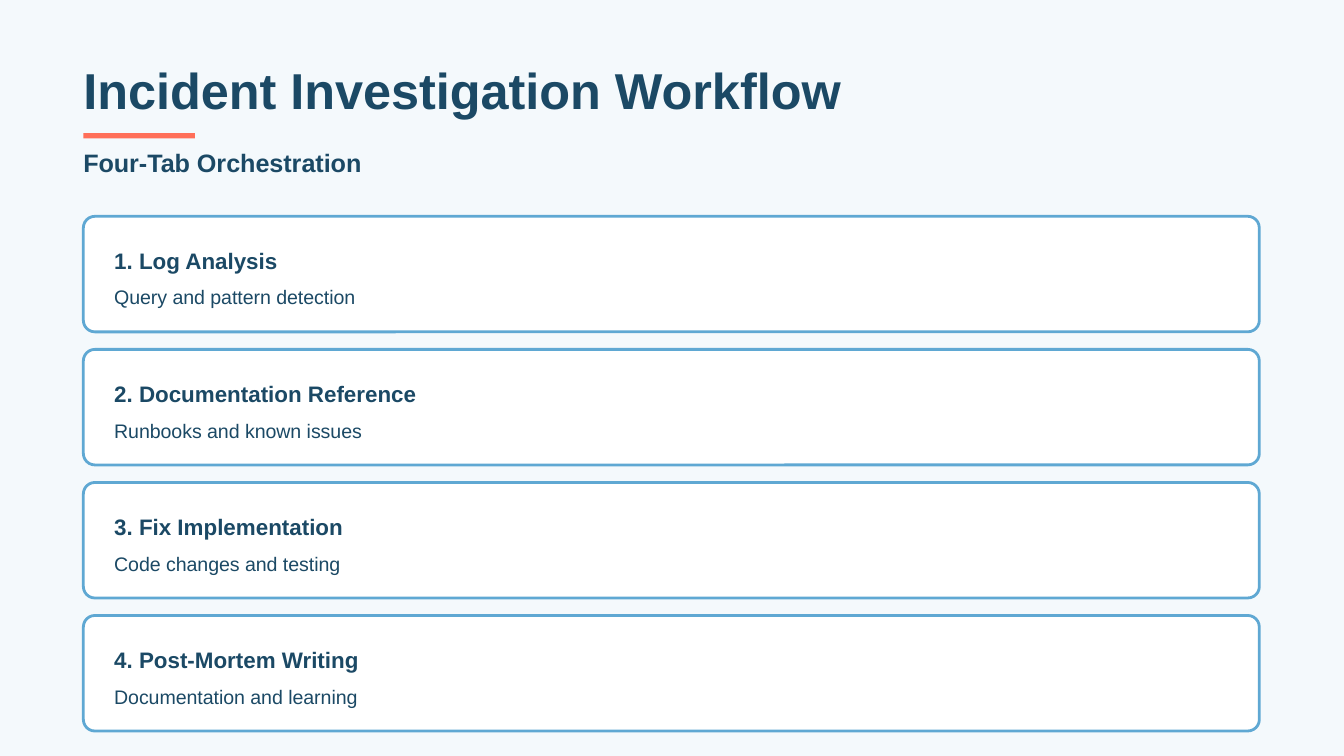
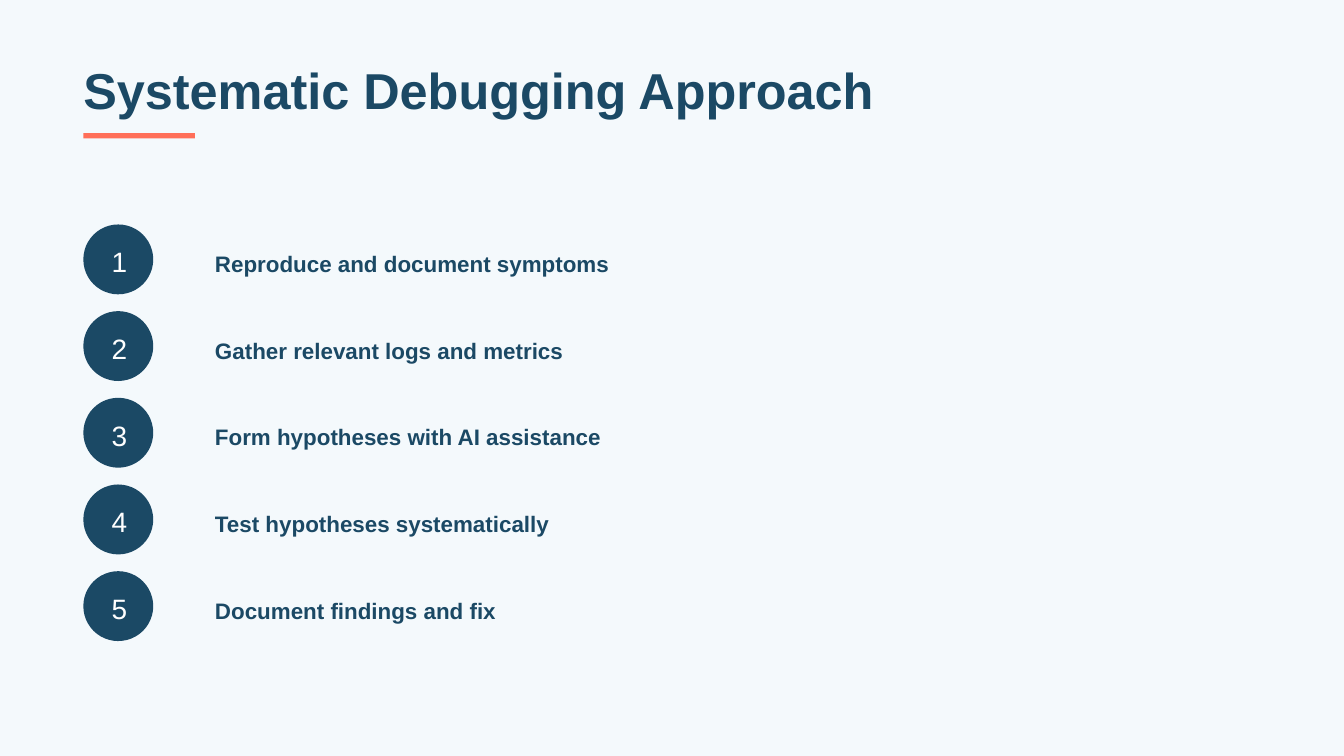
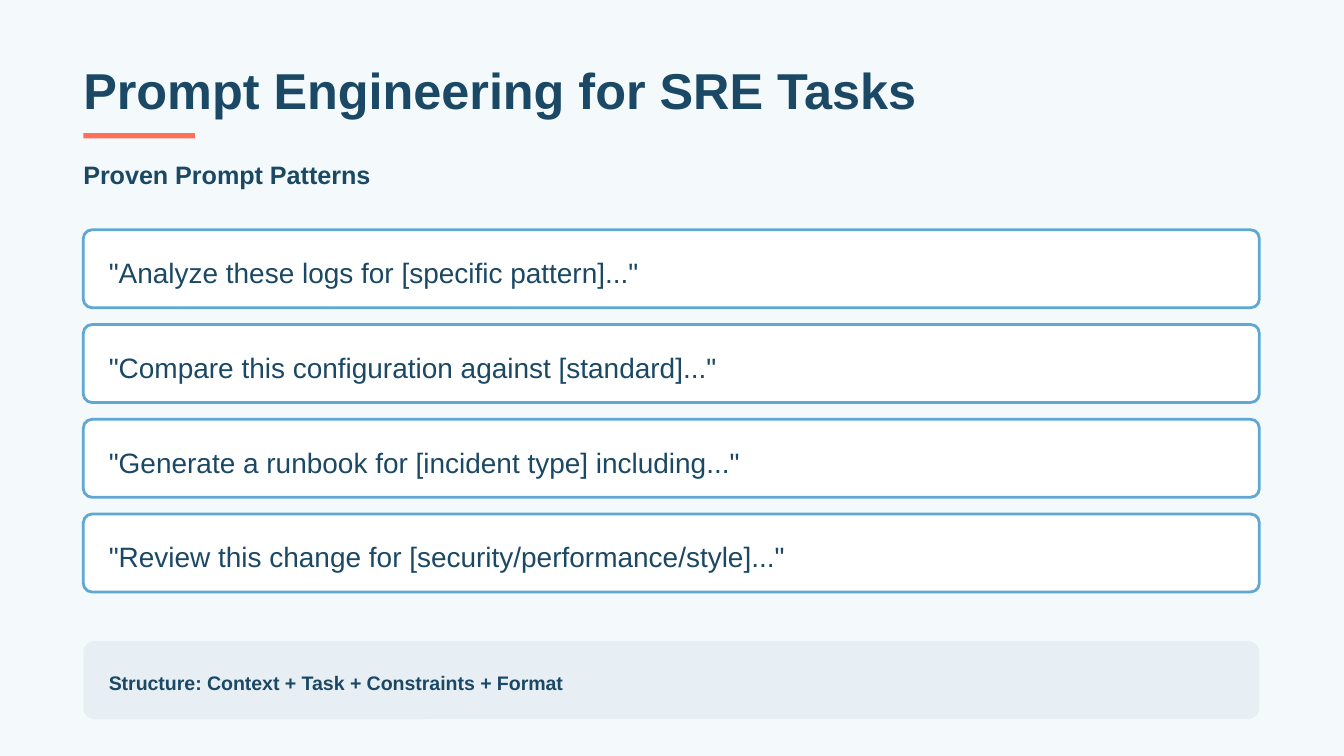
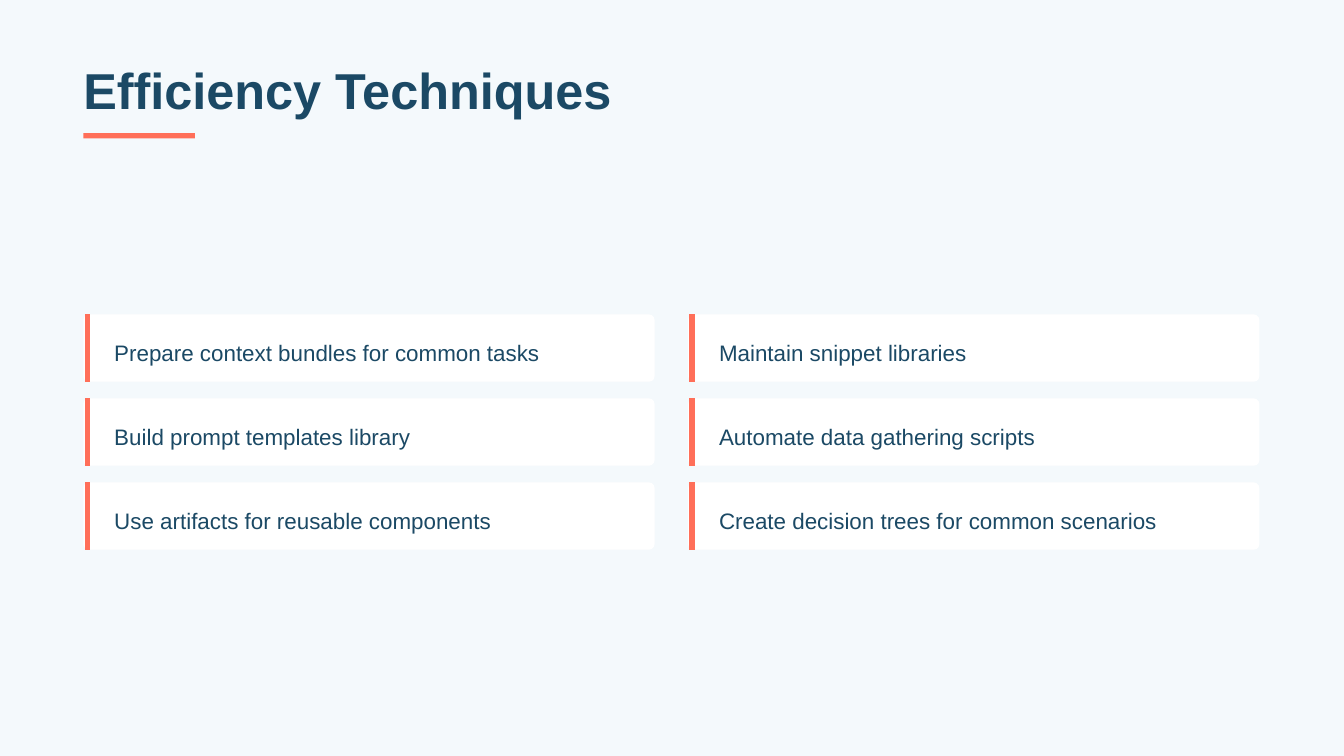
from dataclasses import dataclass
from typing import NamedTuple, Optional

from lxml import etree
from pptx import Presentation
from pptx.dml.color import RGBColor
from pptx.enum.shapes import MSO_CONNECTOR, MSO_SHAPE
from pptx.oxml.ns import qn
from pptx.util import Inches, Pt

RECT = MSO_SHAPE.RECTANGLE
ROUND = MSO_SHAPE.ROUNDED_RECTANGLE
LINE = MSO_CONNECTOR.STRAIGHT


class Type(NamedTuple):
    """Type size and line height, in points."""
    size: float
    lead: float


class Box(NamedTuple):
    """Left, top, width and height, in inches."""
    left: float
    top: float
    width: float
    height: float


@dataclass(frozen=True)
class Theme:
    font: str = "Arial"
    back: str = "F4F9FC"
    navy: str = "1B4965"
    coral: str = "FF6F59"
    sky: str = "5FA8D3"
    white: str = "FFFFFF"
    mist: str = "E8EFF4"
    title: Type = Type(27, 30)
    head: Type = Type(13.5, 21)
    large: Type = Type(15, 21)
    body: Type = Type(12, 18)
    small: Type = Type(10.5, 15)


@dataclass(frozen=True)
class Panel:
    """Look of a rounded panel."""
    fill: str
    radius: float
    edge: Optional[str] = None


THEME = Theme()
LEFT = 0.62
FULL = 8.75
GAP = 1 / 8

STEP = Panel(THEME.white, 0.1, THEME.sky)
PROMPT = Panel(THEME.white, 0.11, THEME.sky)
NOTE = Panel(THEME.mist, 0.14)
TIP = Panel(THEME.white, 0.08)
DISC = Panel(THEME.navy, 0.5)

STEPS = [
    ("1. Log Analysis", "Query and pattern detection"),
    ("2. Documentation Reference", "Runbooks and known issues"),
    ("3. Fix Implementation", "Code changes and testing"),
    ("4. Post-Mortem Writing", "Documentation and learning"),
]
STAGES = [
    "Reproduce and document symptoms",
    "Gather relevant logs and metrics",
    "Form hypotheses with AI assistance",
    "Test hypotheses systematically",
    "Document findings and fix",
]
PROMPTS = [
    '"Analyze these logs for [specific pattern]..."',
    '"Compare this configuration against [standard]..."',
    '"Generate a runbook for [incident type] including..."',
    '"Review this change for [security/performance/style]..."',
]
TIPS = [
    ["Prepare context bundles for common tasks",
     "Build prompt templates library",
     "Use artifacts for reusable components"],
    ["Maintain snippet libraries",
     "Automate data gathering scripts",
     "Create decision trees for common scenarios"],
]


# Drawing helpers
def rgb(code: str) -> RGBColor:
    return RGBColor.from_string(code)


def place(box: Box) -> list:
    return [Inches(side) for side in box]


def stack(first: Box, count: int, gap: float = GAP) -> list[Box]:
    """Boxes of one size, one under the other."""
    pitch = first.height + gap
    return [first._replace(top=first.top + row * pitch) for row in range(count)]


def write(slide, text: str, box: Box, *, style: Type, color: str = THEME.navy,
          bold: bool = False, before: float = 0, after: float = 0) -> None:
    frame = slide.shapes.add_textbox(*place(box)).text_frame
    frame.word_wrap = True
    frame.margin_left = frame.margin_right = 0
    frame.margin_top = frame.margin_bottom = 0
    para = frame.paragraphs[0]
    para.line_spacing = Pt(style.lead)
    if before:
        para.space_before = Pt(before)
    if after:
        para.space_after = Pt(after)
    run = para.add_run()
    run.text = text
    run.font.name = THEME.font
    run.font.size = Pt(style.size)
    run.font.bold = bold
    run.font.color.rgb = rgb(color)


def block(slide, kind: MSO_SHAPE, box: Box, fill: str):
    shape = slide.shapes.add_shape(kind, *place(box))
    shape.shadow.inherit = False
    shape.fill.solid()
    shape.fill.fore_color.rgb = rgb(fill)
    shape.line.fill.background()
    return shape


def panel(slide, box: Box, look: Panel) -> None:
    shape = block(slide, ROUND, box, look.fill)
    shape.adjustments[0] = look.radius
    if look.edge:
        shape.line.color.rgb = rgb(look.edge)
        shape.line.width = Pt(1.5)


def accent(slide, box: Box) -> None:
    """Coral stripe inside the left side of a box."""
    x = Inches(box.left + 0.03)
    line = slide.shapes.add_connector(
        LINE, x, Inches(box.top), x, Inches(box.top + box.height))
    line.line.color.rgb = rgb(THEME.coral)
    line.line.width = Pt(3)
    etree.SubElement(line._element.spPr, qn("a:effectLst"))


# Parts shared by the slides
def start(deck, title: str, width: float):
    slide = deck.slides.add_slide(deck.slide_layouts[6])
    slide.background.fill.solid()
    slide.background.fill.fore_color.rgb = rgb(THEME.back)
    write(slide, title, Box(LEFT, 0.47, width, 0.42),
          style=THEME.title, bold=True)
    block(slide, RECT, Box(LEFT, 0.99, 0.83, 0.04), THEME.coral)
    return slide


def lead(slide, text: str, top: float) -> None:
    write(slide, text, Box(LEFT, top, 8.93, 0.29),
          style=THEME.head, bold=True, before=3, after=3)


# Slides
def workflow(deck) -> None:
    slide = start(deck, "Incident Investigation Workflow", 5.76)
    lead(slide, "Four-Tab Orchestration", 1.03)
    cards = stack(Box(LEFT, 1.61, FULL, 0.86), len(STEPS), 0.13)
    for card, (name, detail) in zip(cards, STEPS):
        panel(slide, card, STEP)
        write(slide, name, Box(0.85, card.top + 0.18, 8.46, 0.25),
              style=THEME.body, bold=True)
        write(slide, detail, Box(0.85, card.top + 0.48, 8.46, 0.21),
              style=THEME.small, before=3.75)


def debug(deck) -> None:
    slide = start(deck, "Systematic Debugging Approach", 6)
    discs = stack(Box(LEFT, 1.67, 0.52, 0.52), len(STAGES))
    for count, (disc, stage) in enumerate(zip(discs, STAGES), 1):
        panel(slide, disc, DISC)
        write(slide, str(count), Box(0.83, disc.top + 0.11, 0.12, 0.29),
              style=THEME.large, color=THEME.white)
        write(slide, stage, Box(1.6, disc.top + 0.14, 7.93, 0.25),
              style=THEME.body, bold=True)


def prompts(deck) -> None:
    slide = start(deck, "Prompt Engineering for SRE Tasks", 6.33)
    lead(slide, "Proven Prompt Patterns", 1.12)
    cards = stack(Box(LEFT, 1.71, FULL, 0.58), len(PROMPTS))
    for card, prompt in zip(cards, PROMPTS):
        panel(slide, card, PROMPT)
        write(slide, prompt, Box(0.81, card.top + 0.15, 8.54, 0.29),
              style=THEME.large)
    panel(slide, Box(LEFT, 4.77, FULL, 0.58), NOTE)
    write(slide, "Structure: Context + Task + Constraints + Format",
          Box(0.81, 4.96, 8.54, 0.21), style=THEME.small, bold=True)


def tips(deck) -> None:
    slide = start(deck, "Efficiency Techniques", 4.47)
    for col, group in enumerate(TIPS):
        cards = stack(Box(LEFT + col * 4.5, 2.34, 4.25, 0.5), len(group))
        for card, tip in zip(cards, group):
            panel(slide, card, TIP)
            accent(slide, card)
            write(slide, tip,
                  Box(card.left + 0.23, card.top + 0.13, 3.91, 0.25),
                  style=THEME.body)


def main() -> None:
    deck = Presentation()
    deck.slide_width = Inches(10)
    deck.slide_height = Inches(10 * 9 / 16)
    for build in (workflow, debug, prompts, tips):
        build(deck)
    deck.save("out.pptx")


if __name__ == "__main__":
    main()
